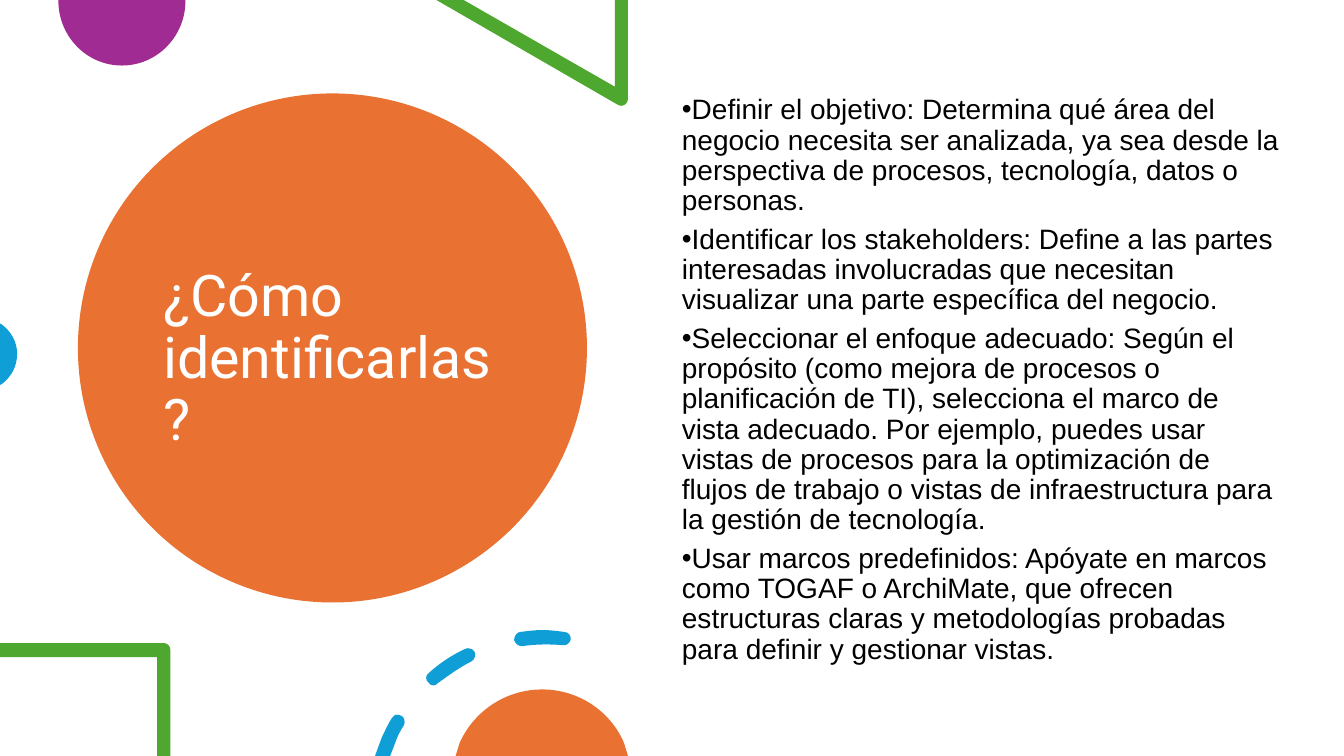
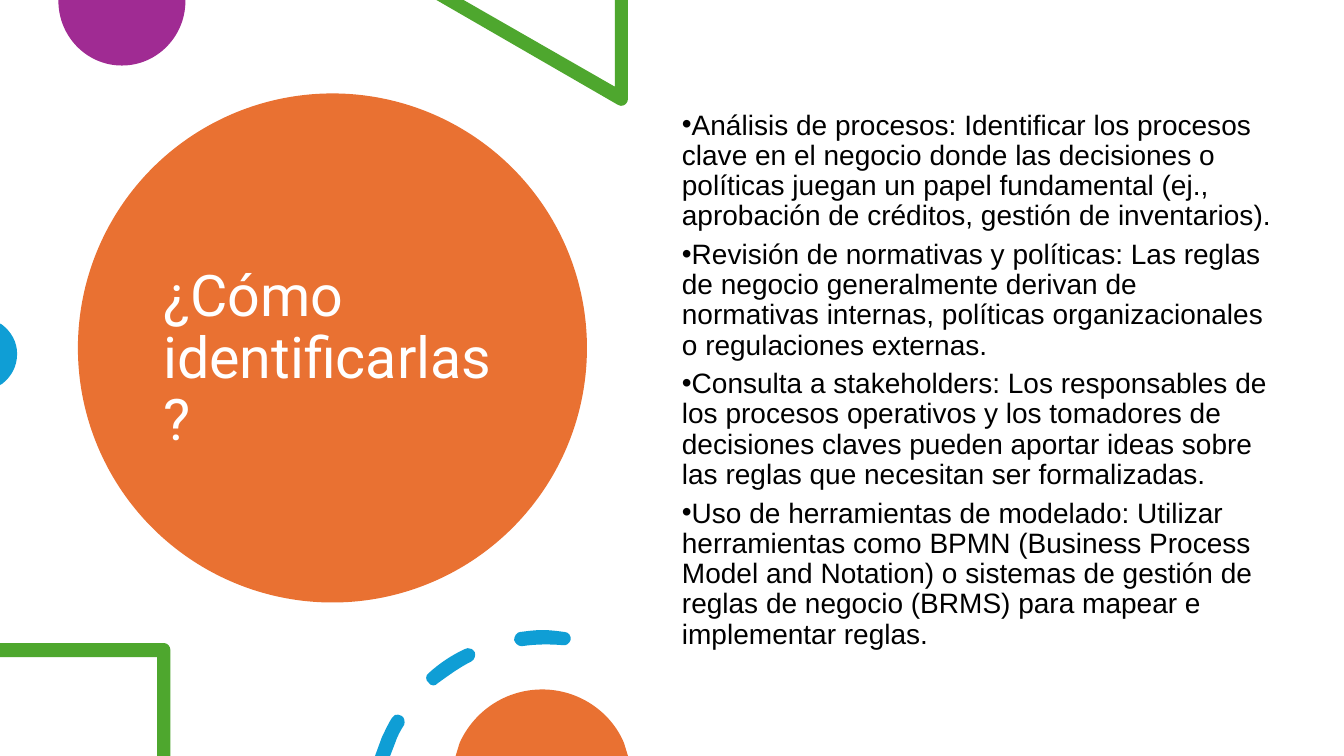
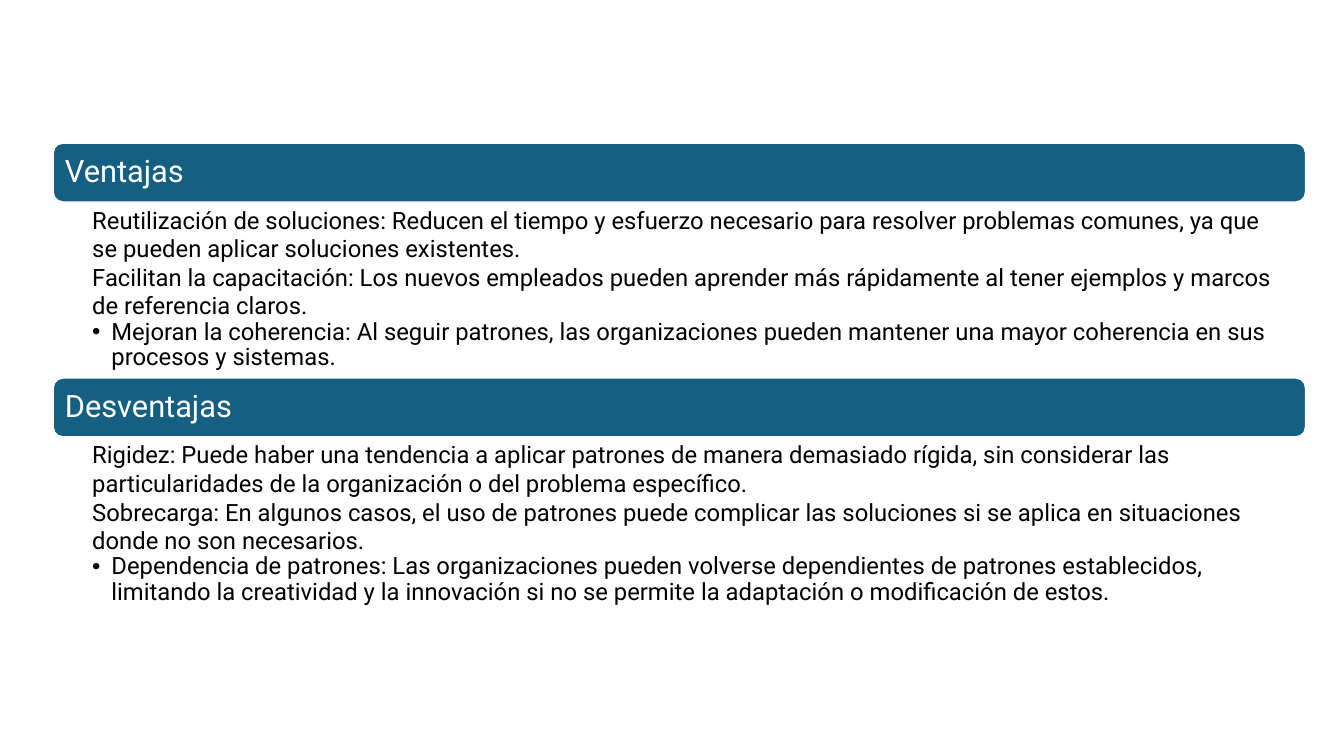
from dataclasses import dataclass
from typing import NamedTuple

from pptx import Presentation
from pptx.dml.color import RGBColor
from pptx.enum.shapes import MSO_SHAPE as Shape
from pptx.enum.text import MSO_ANCHOR as Anchor, PP_ALIGN as Align
from pptx.oxml.ns import qn
from pptx.util import Inches, Pt

# The grid: square cells, 133.33 columns by 75 rows.
COLUMNS, ROWS = 133.33, 75
CELL = Inches(0.1)


@dataclass(frozen=True)
class Theme:
    orange: str = "E97132"
    purple: str = "A02B93"
    green: str = "4EA72E"
    blue: str = "0F9ED5"
    teal: str = "156082"
    white: str = "FFFFFF"
    black: str = "000000"
    heading_font: str = "Roboto"
    body_font: str = "Arial"
    title_size: float = 41
    bar_size: float = 22
    body_size: float = 20
    detail_size: float = 17


THEME = Theme()


class Box(NamedTuple):
    left: float
    top: float
    width: float
    height: float


class TextStyle(NamedTuple):
    font: str
    size: float
    color: str


class ParagraphStyle(NamedTuple):
    line_spacing: float = 0.9
    space_after: float = 0
    bullet: str = ""
    margin: float = 0
    indent: float = 0


class Ornament(NamedTuple):
    """Closed contours: a start point, then lines (x, y) or cubic curves (6 numbers)."""
    color: str
    contours: list[list[tuple[float, ...]]]


class Question(NamedTuple):
    answer_top: float
    answers: list[str]


class Section(NamedTuple):
    heading: str
    points: list[str]


TITLE_STYLE = TextStyle(THEME.heading_font, THEME.title_size, THEME.white)
BAR_STYLE = TextStyle(THEME.heading_font, THEME.bar_size, THEME.white)
ANSWER_STYLE = TextStyle(THEME.body_font, THEME.body_size, THEME.black)
DETAIL_STYLE = TextStyle(THEME.heading_font, THEME.detail_size, THEME.black)

TIGHT = ParagraphStyle()
ANSWER = ParagraphStyle(space_after=6, bullet="•", indent=-2.5)
PLAIN_POINT = ParagraphStyle(line_spacing=1)
BULLET_POINT = ParagraphStyle(bullet="•", margin=1.9, indent=-1.9)

DEFAULT_INSETS = (1, 0.5, 1, 0.5)
BAR_INSETS = (0.9, 0.9, 0.9, 0.9)
DETAIL_INSETS = (3.9, 0.3, 1.7, 0.3)

DISC = Box(7.73, 9.27, 50.5, 50.5)
TITLE = Box(15.2, 13.5, 35.4, 44.5)
ANSWER_LEFT, ANSWER_WIDTH, ANSWER_HEIGHT = 66.67, 61.4, 59.5
SECTION_LEFT, SECTION_TOP, SECTION_WIDTH = 5.25, 14.17, 124.3
BAR_HEIGHT, DETAIL_HEIGHT = 5.9, 17.4

ORNAMENTS = [
    Ornament(THEME.purple, [[
        (18.4, 0), (5.8, 0), (5.8, 0.1), (5.8, 3.6, 8.6, 6.5, 12.1, 6.5),
        (15.6, 6.5, 18.4, 3.6, 18.4, 0.1)]]),
    Ornament(THEME.green, [[
        (62.3, 0), (61, 0), (61, 8.6), (46, 0), (43.3, 0), (61.3, 10.4),
        (61.4, 10.5, 61.5, 10.5, 61.6, 10.5), (62, 10.5, 62.3, 10.2, 62.3, 9.8)]]),
    Ornament(THEME.blue, [[
        (0, 32.1), (0, 38.2), (0.2, 38.1), (1.1, 37.4, 1.7, 36.4, 1.7, 35.1),
        (1.7, 33.9, 1.1, 32.9, 0.2, 32.2)]]),
    Ornament(THEME.green, [[
        (16.3, 63.8), (0, 63.8), (0, 65.2), (15.6, 65.2), (15.6, ROWS), (16.9, ROWS),
        (16.9, 64.5), (16.9, 64.1, 16.6, 63.8, 16.3, 63.8)]]),
    Ornament(THEME.blue, [
        [(39.5, 70.9), (39.3, 70.8, 39, 71, 38.9, 71.2),
         (38.5, 71.8, 38.2, 72.5, 37.9, 73.1), (37.2, ROWS), (38.7, ROWS), (39.2, 73.7),
         (39.4, 73.1, 39.7, 72.5, 40.1, 71.9), (40.2, 71.6, 40.1, 71.1, 39.8, 71),
         (39.7, 70.9, 39.6, 70.9, 39.5, 70.9)],
        [(46.4, 64.3), (46.3, 64.3, 46.2, 64.3, 46.1, 64.4),
         (44.8, 65, 43.6, 65.8, 42.5, 66.8), (42.2, 67, 42.2, 67.5, 42.5, 67.7),
         (42.6, 67.9, 42.8, 68, 43, 68), (43.2, 68, 43.3, 67.9, 43.4, 67.8),
         (44.5, 67, 45.6, 66.2, 46.8, 65.6), (47.1, 65.4, 47.2, 65, 47.1, 64.7),
         (46.9, 64.4, 46.7, 64.3, 46.4, 64.3)],
        [(53.8, 62.5), (53.1, 62.5, 52.4, 62.6, 51.6, 62.7),
         (51.3, 62.7, 51, 63.1, 51, 63.5), (51.1, 63.8, 51.4, 64.1, 51.7, 64.1),
         (51.8, 64.1), (53.2, 63.9, 54.5, 63.9, 55.8, 64),
         (56.2, 64.1, 56.5, 63.8, 56.6, 63.5), (56.7, 63.1, 56.4, 62.7, 56, 62.7),
         (55.3, 62.6, 54.5, 62.5, 53.8, 62.5)]]),
    Ornament(THEME.orange, [[
        (53.8, 68.4), (50.1, 68.4, 47, 70.6, 45.6, 73.7), (45.2, ROWS), (62.3, ROWS),
        (61.9, 73.7), (60.6, 70.6, 57.4, 68.4, 53.8, 68.4)]]),
]

QUESTION_TITLE = "¿Cómo identificarlas?"
QUESTIONS = [
    Question(9, [
        "Definir el objetivo: Determina qué área del negocio necesita ser analizada, ya sea "
        "desde la perspectiva de procesos, tecnología, datos o personas.",
        "Identificar los stakeholders: Define a las partes interesadas involucradas que "
        "necesitan visualizar una parte específica del negocio.",
        "Seleccionar el enfoque adecuado: Según el propósito (como mejora de procesos o "
        "planificación de TI), selecciona el marco de vista adecuado. Por ejemplo, puedes usar "
        "vistas de procesos para la optimización de flujos de trabajo o vistas de "
        "infraestructura para la gestión de tecnología.",
        "Usar marcos predefinidos: Apóyate en marcos como TOGAF o ArchiMate, que ofrecen "
        "estructuras claras y metodologías probadas para definir y gestionar vistas.",
    ]),
    Question(10.5, [
        "Análisis de procesos: Identificar los procesos clave en el negocio donde las "
        "decisiones o políticas juegan un papel fundamental (ej., aprobación de créditos, "
        "gestión de inventarios).",
        "Revisión de normativas y políticas: Las reglas de negocio generalmente derivan de "
        "normativas internas, políticas organizacionales o regulaciones externas.",
        "Consulta a stakeholders: Los responsables de los procesos operativos y los tomadores "
        "de decisiones claves pueden aportar ideas sobre las reglas que necesitan ser "
        "formalizadas.",
        "Uso de herramientas de modelado: Utilizar herramientas como BPMN (Business Process "
        "Model and Notation) o sistemas de gestión de reglas de negocio (BRMS) para mapear e "
        "implementar reglas.",
    ]),
]
SECTIONS = [
    Section("Ventajas", [
        "Reutilización de soluciones: Reducen el tiempo y esfuerzo necesario para resolver "
        "problemas comunes, ya que se pueden aplicar soluciones existentes.",
        "Facilitan la capacitación: Los nuevos empleados pueden aprender más rápidamente al "
        "tener ejemplos y marcos de referencia claros.",
        "Mejoran la coherencia: Al seguir patrones, las organizaciones pueden mantener una "
        "mayor coherencia en sus procesos y sistemas.",
    ]),
    Section("Desventajas", [
        "Rigidez: Puede haber una tendencia a aplicar patrones de manera demasiado rígida, sin "
        "considerar las particularidades de la organización o del problema específico.",
        "Sobrecarga: En algunos casos, el uso de patrones puede complicar las soluciones si se "
        "aplica en situaciones donde no son necesarios.",
        "Dependencia de patrones: Las organizaciones pueden volverse dependientes de patrones "
        "establecidos, limitando la creatividad y la innovación si no se permite la adaptación "
        "o modificación de estos.",
    ]),
]


def cells(*lengths: float) -> list[int]:
    return [round(length * CELL) for length in lengths]


def set_all(target, values: dict) -> None:
    for attribute, value in values.items():
        setattr(target, attribute, value)


def paint(shape, color: str, line: str = "") -> None:
    shape.shadow.inherit = False
    shape.fill.solid()
    shape.fill.fore_color.rgb = RGBColor.from_string(color)
    if line:
        shape.line.color.rgb = RGBColor.from_string(line)
        shape.line.width = Pt(1.5)
    else:
        shape.line.fill.background()


def add_bullet(paragraph, layout: ParagraphStyle) -> None:
    properties = paragraph._p.get_or_add_pPr()
    for key, length in zip(("marL", "indent"), cells(layout.margin, layout.indent)):
        properties.set(key, str(length))
    for tag, values in (("a:buFont", {"typeface": THEME.body_font}),
                        ("a:buChar", {"char": layout.bullet})):
        properties.append(properties.makeelement(qn(tag), values))


def write(shape, paragraphs: list[tuple[str, ParagraphStyle]], style: TextStyle,
          insets: tuple[float, ...] = DEFAULT_INSETS, anchor=Anchor.TOP) -> None:
    frame = shape.text_frame
    sides = ("margin_left", "margin_top", "margin_right", "margin_bottom")
    set_all(frame, {"word_wrap": True, "vertical_anchor": anchor,
                    **dict(zip(sides, cells(*insets)))})
    for index, (text, layout) in enumerate(paragraphs):
        paragraph = frame.add_paragraph() if index else frame.paragraphs[0]
        set_all(paragraph, {"alignment": Align.LEFT, "line_spacing": layout.line_spacing,
                            "space_after": Pt(layout.space_after)})
        run = paragraph.add_run()
        run.text = text
        set_all(run.font, {"name": style.font, "size": Pt(style.size)})
        run.font.color.rgb = RGBColor.from_string(style.color)
        if layout.bullet:
            add_bullet(paragraph, layout)


def add_text(slide, box: Box, *text_options, **named_options) -> None:
    write(slide.shapes.add_textbox(*cells(*box)), *text_options, **named_options)


def add_ornament(slide, ornament: Ornament) -> None:
    """Draw every control point as a line end, then join each curve's three lines in one."""
    builder = slide.shapes.build_freeform(*cells(*ornament.contours[0][0]))
    segments = []
    for index, (start, *others) in enumerate(ornament.contours):
        if index:
            builder.move_to(*cells(*start))
        points = [cells(*segment[i:i + 2]) for segment in others
                  for i in range(0, len(segment), 2)]
        builder.add_line_segments(points, close=True)
        segments += others
    shape = builder.convert_to_shape()
    paint(shape, ornament.color)

    lines = iter(list(shape._element.iter(qn("a:lnTo"))))
    for segment in segments:
        first = next(lines)
        if len(segment) == 6:
            curve = first.makeelement(qn("a:cubicBezTo"), {})
            first.addprevious(curve)
            for line in (first, next(lines), next(lines)):
                curve.append(line[0])
                line.getparent().remove(line)


def add_question(slide, question: Question) -> None:
    paint(slide.shapes.add_shape(Shape.OVAL, *cells(*DISC)), THEME.orange)
    add_text(slide, TITLE, [(QUESTION_TITLE, TIGHT)], TITLE_STYLE, anchor=Anchor.MIDDLE)
    for ornament in ORNAMENTS:
        add_ornament(slide, ornament)
    answer_box = Box(ANSWER_LEFT, question.answer_top, ANSWER_WIDTH, ANSWER_HEIGHT)
    add_text(slide, answer_box, [(answer, ANSWER) for answer in question.answers], ANSWER_STYLE)


def add_section(slide, section: Section, top: float) -> None:
    bar_box = Box(SECTION_LEFT, top, SECTION_WIDTH, BAR_HEIGHT)
    bar = slide.shapes.add_shape(Shape.ROUNDED_RECTANGLE, *cells(*bar_box))
    paint(bar, THEME.teal, THEME.white)
    write(bar, [(section.heading, TIGHT)], BAR_STYLE, BAR_INSETS, Anchor.MIDDLE)
    *plain, last = section.points
    details = [(point, PLAIN_POINT) for point in plain] + [(last, BULLET_POINT)]
    detail_box = Box(SECTION_LEFT, top + BAR_HEIGHT, SECTION_WIDTH, DETAIL_HEIGHT)
    add_text(slide, detail_box, details, DETAIL_STYLE, DETAIL_INSETS)


def main() -> None:
    deck = Presentation()
    deck.slide_width, deck.slide_height = cells(COLUMNS, ROWS)
    blank = deck.slide_layouts[6]
    for question in QUESTIONS:
        add_question(deck.slides.add_slide(blank), question)
    comparison = deck.slides.add_slide(blank)
    for index, section in enumerate(SECTIONS):
        add_section(comparison, section, SECTION_TOP + index * (BAR_HEIGHT + DETAIL_HEIGHT))
    deck.save("out.pptx")


if __name__ == "__main__":
    main()
